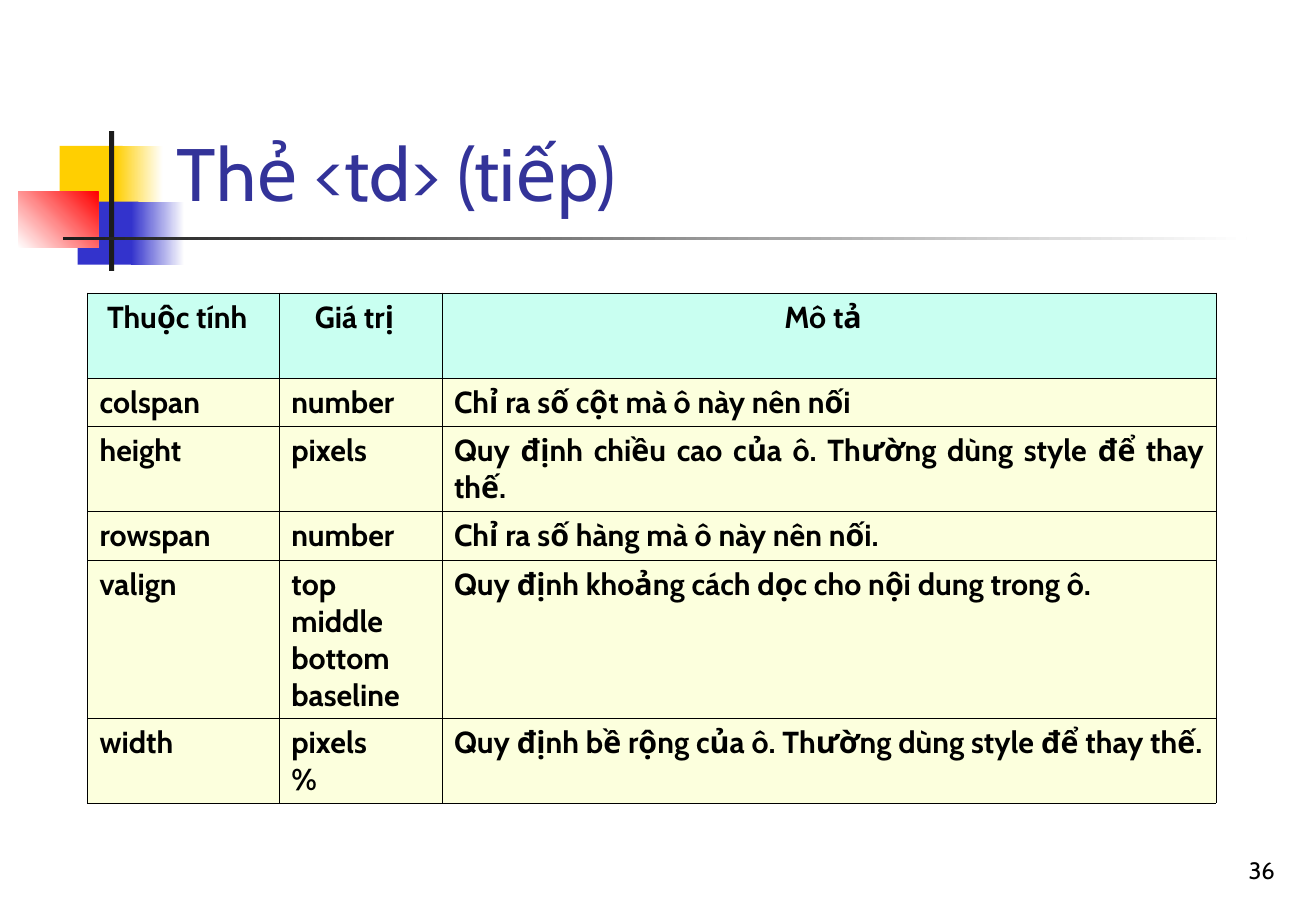
from lxml import etree
from pptx import Presentation
from pptx import util as u
from pptx.dml import color
from pptx.enum import shapes, text
from pptx.oxml import ns

FONT = "Cabin"
BLACK, WHITE = "000000", "FFFFFF"
GOLD, BLUE, RED, DARK = "FFCF01", "3333CC", "FF0000", "1C1C1C"
INDIGO, MINT, CREAM = "333399", "C9FFF1", "FCFFDD"
LEFT, MID, RIGHT, JUST = (text.PP_ALIGN.LEFT, text.PP_ALIGN.CENTER,
                          text.PP_ALIGN.RIGHT, text.PP_ALIGN.JUSTIFY)

# box, colours (two make a gradient), angle
DECOR = [
    ((0.49, 1.2, 0.52, 0.52), [GOLD], 0),
    ((0.95, 1.2, 0.39, 0.52), [GOLD, WHITE], 0),
    ((0.64, 1.66, 0.5, 0.52), [BLUE], 0),
    ((1.08, 1.66, 0.44, 0.52), [BLUE, WHITE], 0),
    ((0.15, 1.58, 0.66, 0.46), [WHITE, RED], 45),
    ((0.9, 1.08, 0.04, 1.15), [DARK], 0),
    ((0.52, 1.95, 9.75, 0.03), [DARK, WHITE], 0),
]

COLS = [1.58, 1.34, 6.38]
ROWS = [0.7, 0.4, 0.7, 0.4, 1.3, 0.7]
ALIGNS = [JUST, LEFT, JUST]
CELLS = [
    ["Thuộc tính", "Giá trị", "Mô tả"],
    ["colspan", "number", "Chỉ ra số cột mà ô này nên nối"],
    ["height", "pixels",
     "Quy định chiều cao của ô. Thường dùng style để thay thế."],
    ["rowspan", "number", "Chỉ ra số hàng mà ô này nên nối."],
    ["valign", "top\nmiddle\nbottom\nbaseline",
     "Quy định khoảng cách dọc cho nội dung trong ô."],
    ["width", "pixels\n%",
     "Quy định bề rộng của ô. Thường dùng style để thay thế."],
]


def rgb(code):
    return color.RGBColor.from_string(code)


def inches(box):
    return [u.Inches(n) for n in box]


def paint(fill, code):
    fill.solid()
    fill.fore_color.rgb = rgb(code)


def write(frame, words, size, code, align, bold=False):
    """Fill a text frame with one paragraph; newlines become line breaks."""
    para = frame.paragraphs[0]
    para.text = words
    para.alignment = align
    style = {"name": FONT, "size": u.Pt(size), "bold": bold}
    for run in para.runs:
        for key, val in style.items():
            setattr(run.font, key, val)
        run.font.color.rgb = rgb(code)


def block(slide, box, codes, angle):
    shape = slide.shapes.add_shape(shapes.MSO_SHAPE.RECTANGLE, *inches(box))
    shape.shadow.inherit = False
    shape.line.fill.background()
    if len(codes) == 1:
        paint(shape.fill, codes[0])
        return
    shape.fill.gradient()
    shape.fill.gradient_angle = angle
    for stop, code in zip(shape.fill.gradient_stops, codes):
        stop.color.rgb = rgb(code)


def label(slide, box, words, size, code, align):
    frame = slide.shapes.add_textbox(*inches(box)).text_frame
    frame.word_wrap = True
    frame.vertical_anchor = text.MSO_ANCHOR.BOTTOM
    write(frame, words, size, code, align)


def edge(cell, width=0.06):
    """Draw a black line on all four sides of a cell."""
    props = cell._tc.get_or_add_tcPr()
    for side in "LRTB":
        line = etree.SubElement(props, ns.qn("a:ln" + side), w=str(u.Pt(width)))
        fill = etree.SubElement(line, ns.qn("a:solidFill"))
        etree.SubElement(fill, ns.qn("a:srgbClr"), val=BLACK)


def grid(slide, box):
    table = slide.shapes.add_table(len(ROWS), len(COLS), *inches(box)).table
    for col, width in zip(table.columns, COLS):
        col.width = u.Inches(width)
    for row, height in zip(table.rows, ROWS):
        row.height = u.Inches(height)
    for r, line in enumerate(CELLS):
        for c, words in enumerate(line):
            cell = table.cell(r, c)
            head = r == 0
            edge(cell)
            paint(cell.fill, MINT if head else CREAM)
            cell.margin_right = u.Inches(0.2 if head else 0.1)
            write(cell.text_frame, words, 18, BLACK,
                  MID if head else ALIGNS[c], True)


def main():
    deck = Presentation()
    deck.slide_width, deck.slide_height = inches((10.84, 7.5))
    slide = deck.slides.add_slide(deck.slide_layouts[6])
    paint(slide.background.fill, WHITE)
    for box, codes, angle in DECOR:
        block(slide, box, codes, angle)
    label(slide, (1.36, 0.23, 9.23, 1.6), "Thẻ <td> (tiếp)", 44, INDIGO, LEFT)
    label(slide, (8.34, 6.83, 2.26, 0.5), "36", 14, BLACK, RIGHT)
    grid(slide, (0.72, 2.41, sum(COLS), sum(ROWS)))
    deck.save("out.pptx")


if __name__ == "__main__":
    main()
